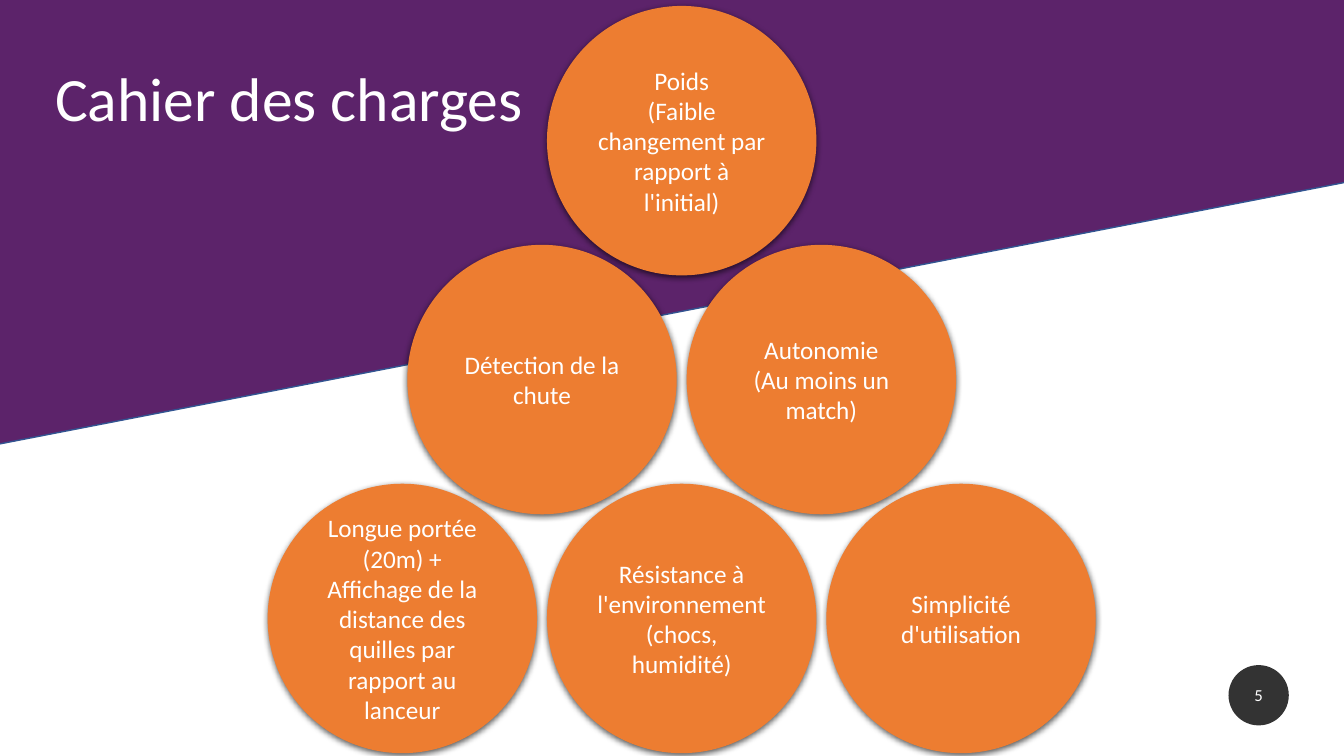
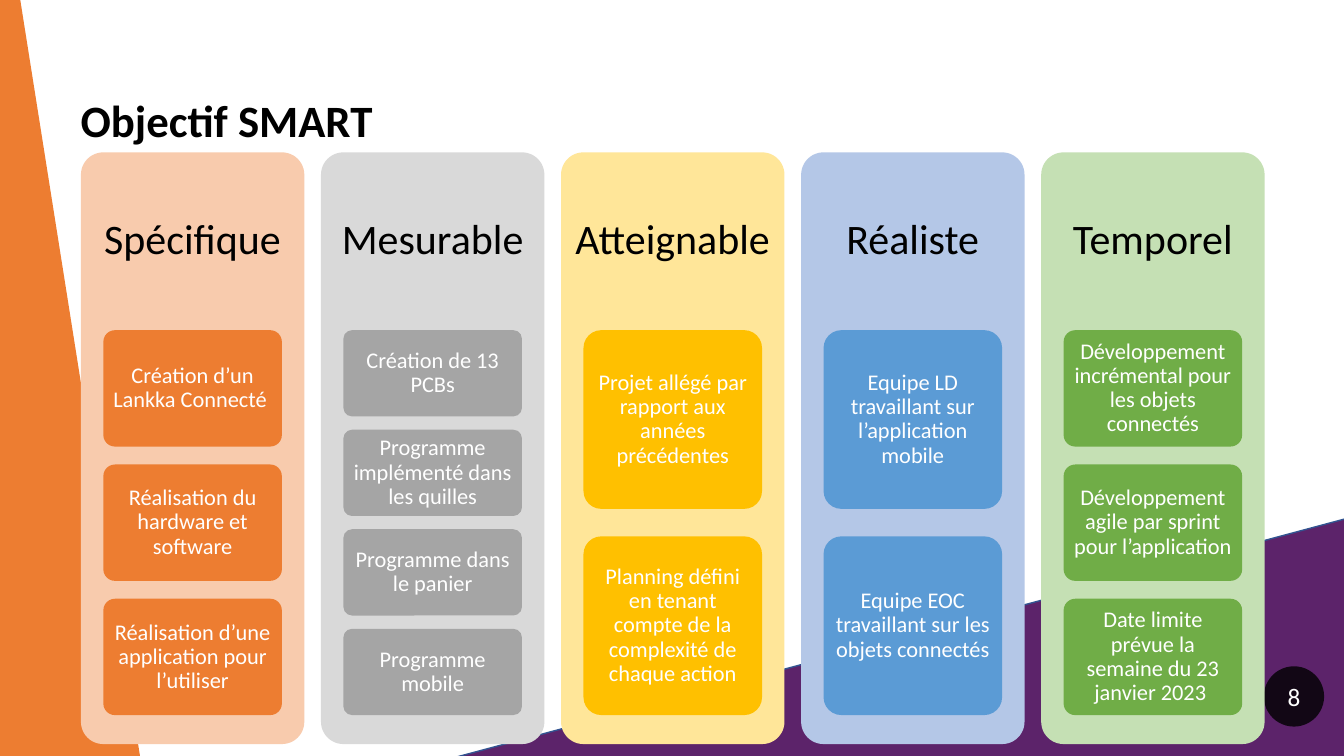
from dataclasses import dataclass

from pptx import Presentation
from pptx.dml.color import RGBColor
from pptx.enum.shapes import MSO_SHAPE as Preset
from pptx.enum.text import MSO_ANCHOR as Anchor, MSO_AUTO_SIZE as AutoSize, PP_ALIGN as Align
from pptx.oxml import parse_xml
from pptx.oxml.ns import nsdecls, qn
from pptx.util import Cm, Pt


@dataclass(frozen=True)
class Theme:
    font: str = "Calibri"
    purple: str = "5C236A"
    purple_edge: str = "325491"
    orange: str = "ED7D31"
    white: str = "FFFFFF"
    black: str = "000000"
    cover_title: int = 44
    title: int = 32
    heading: int = 30
    circle: int = 18
    card: int = 16


THEME = Theme()

REQUIREMENT_ROWS = [
    [["Poids", "(Faible changement par rapport à l'initial)"]],
    [["Détection de la chute"], ["Autonomie", "(Au moins un match)"]],
    [
        ["Longue portée (20m) + Affichage de la distance des quilles par rapport au lanceur"],
        ["Résistance à l'environnement (chocs, humidité)"],
        ["Simplicité d'utilisation"],
    ],
]

SMART_COLUMNS = [
    ("Spécifique", "F8CBAD", "ED7D31", [
        "Création d’un Lankka Connecté ",
        "Réalisation du hardware et software",
        "Réalisation d’une application pour l’utiliser",
    ]),
    ("Mesurable", "D9D9D9", "A5A5A5", [
        "Création de 13 PCBs",
        "Programme implémenté dans les quilles",
        "Programme dans le panier",
        "Programme mobile",
    ]),
    ("Atteignable", "FFE699", "FFC000", [
        "Projet allégé par rapport aux années précédentes",
        "Planning défini en tenant compte de la complexité de chaque action",
    ]),
    ("Réaliste", "B4C7E7", "5B9BD5", [
        "Equipe LD travaillant sur l’application mobile",
        "Equipe EOC travaillant sur les objets connectés",
    ]),
    ("Temporel", "C5E0B4", "70AD47", [
        "Développement incrémental pour les objets connectés",
        "Développement agile par sprint pour l’application",
        "Date limite prévue la semaine du 23 janvier 2023 ",
    ]),
]


def write(shape, lines, size, color, align=Align.CENTER, anchor=Anchor.MIDDLE,
          spacing=1.0, bold=False, insets=(0.25, 0.13)):
    frame = shape.text_frame
    frame.word_wrap = True
    frame.auto_size = AutoSize.NONE
    frame.vertical_anchor = anchor
    frame.margin_left = frame.margin_right = Cm(insets[0])
    frame.margin_top = frame.margin_bottom = Cm(insets[1])
    for index, line in enumerate(lines):
        paragraph = frame.add_paragraph() if index else frame.paragraphs[0]
        paragraph.alignment = align
        paragraph.line_spacing = spacing
        run = paragraph.add_run()
        run.text = line
        run.font.name = THEME.font
        run.font.size = Pt(size)
        run.font.bold = bold
        run.font.color.rgb = RGBColor.from_string(color)


def add_filled(slide, preset, left, top, width, height, color):
    shape = slide.shapes.add_shape(preset, Cm(left), Cm(top), Cm(width), Cm(height))
    shape.shadow.inherit = False
    shape.fill.solid()
    shape.fill.fore_color.rgb = RGBColor.from_string(color)
    shape.line.fill.background()
    return shape


def add_band(slide, left, top, width, height, rotation, color, edge=None):
    band = add_filled(slide, Preset.RECTANGLE, left, top, width, height, color)
    band.rotation = rotation
    if edge:
        band.line.color.rgb = RGBColor.from_string(edge)
        band.line.width = Pt(1)
    slide.shapes.title.element.addprevious(band.element)


def add_titled_slide(presentation, title, left, top, width, height, **style):
    slide = presentation.slides.add_slide(presentation.slide_layouts[5])
    shape = slide.shapes.title
    shape.left, shape.top, shape.width, shape.height = map(Cm, (left, top, width, height))
    write(shape, [title], align=Align.LEFT, anchor=Anchor.BOTTOM, **style)
    return slide


def add_badge(slide, number, left, top, size):
    badge = add_filled(slide, Preset.OVAL, left, top, 1.52, 1.52, THEME.black)
    color = badge.element.spPr.find(qn("a:solidFill")).find(qn("a:srgbClr"))
    color.append(parse_xml(f'<a:alpha {nsdecls("a")} val="80000"/>'))
    write(badge, [number], size, THEME.white, insets=(0, 0))


def add_soft_shadow(shape):
    effects = shape.element.spPr.find(qn("a:effectLst"))
    effects.append(parse_xml(
        f'<a:outerShdw {nsdecls("a")} blurRad="{Pt(4.5)}" dist="{Pt(1.5)}" dir="5400000" '
        f'algn="ctr" rotWithShape="0"><a:srgbClr val="{THEME.black}">'
        '<a:alpha val="63000"/></a:srgbClr></a:outerShdw>'))


def add_circle_pyramid(slide, rows, center, top, diameter, pitch, row_pitch):
    for level, row in enumerate(rows):
        first = center - diameter / 2 - (len(row) - 1) * pitch / 2
        for index, lines in enumerate(row):
            circle = add_filled(slide, Preset.OVAL, first + index * pitch,
                                top + level * row_pitch, diameter, diameter, THEME.orange)
            add_soft_shadow(circle)
            write(circle, lines, THEME.circle, THEME.white)


def add_rounded(slide, left, top, width, height, color):
    shape = add_filled(slide, Preset.ROUNDED_RECTANGLE, left, top, width, height, color)
    shape.adjustments[0] = 0.1
    return shape


def add_card_column(slide, left, heading, panel_color, card_color, cards):
    top, width = 3.84, 5.63
    add_rounded(slide, left, top, width, 14.91, panel_color)
    box = slide.shapes.add_textbox(Cm(left), Cm(top), Cm(width), Cm(4.47))
    write(box, [heading], THEME.heading, THEME.black, spacing=0.9, insets=(0.3, 0.3))

    stack_top, stack_height, card_width = 8.32, 9.7, 4.5
    gap_ratio = 2 / 13
    card_height = stack_height / (len(cards) + (len(cards) - 1) * gap_ratio)
    for index, text in enumerate(cards):
        card_top = stack_top + index * card_height * (1 + gap_ratio)
        card = add_rounded(slide, left + (width - card_width) / 2, card_top,
                           card_width, card_height, card_color)
        write(card, [text], THEME.card, THEME.white, spacing=0.9, insets=(0.1, 0.08))


def build_requirements(presentation):
    slide = add_titled_slide(presentation, "Cahier des charges", 1.14, 1.6, 12.83, 1.88,
                             size=THEME.cover_title, color=THEME.white, spacing=0.8)
    add_band(slide, 8.26, -21.16, 13.74, 44.81, 259, THEME.purple, THEME.purple_edge)
    add_circle_pyramid(slide, REQUIREMENT_ROWS, center=17.18, top=0.15,
                       diameter=6.79, pitch=7.04, row_pitch=6.02)
    add_badge(slide, "5", 30.96, 16.76, 12)


def build_smart_goals(presentation):
    slide = add_titled_slide(presentation, "Objectif SMART", 1.78, 2.16, 14.05, 1.68,
                             size=THEME.title, color=THEME.black, spacing=0.9, bold=True)
    add_band(slide, -11.58, -1.47, 13.74, 24.82, 351, THEME.orange)
    add_band(slide, 17.58, 10.31, 13.74, 24.82, 75, THEME.purple, THEME.purple_edge)
    add_badge(slide, "8", 31.85, 16.79, 18)
    for index, column in enumerate(SMART_COLUMNS):
        add_card_column(slide, 2.04 + index * 6.05, *column)


def main():
    presentation = Presentation()
    presentation.slide_width = Cm(33.87)
    presentation.slide_height = Cm(19.05)
    build_requirements(presentation)
    build_smart_goals(presentation)
    presentation.save("out.pptx")


if __name__ == "__main__":
    main()
